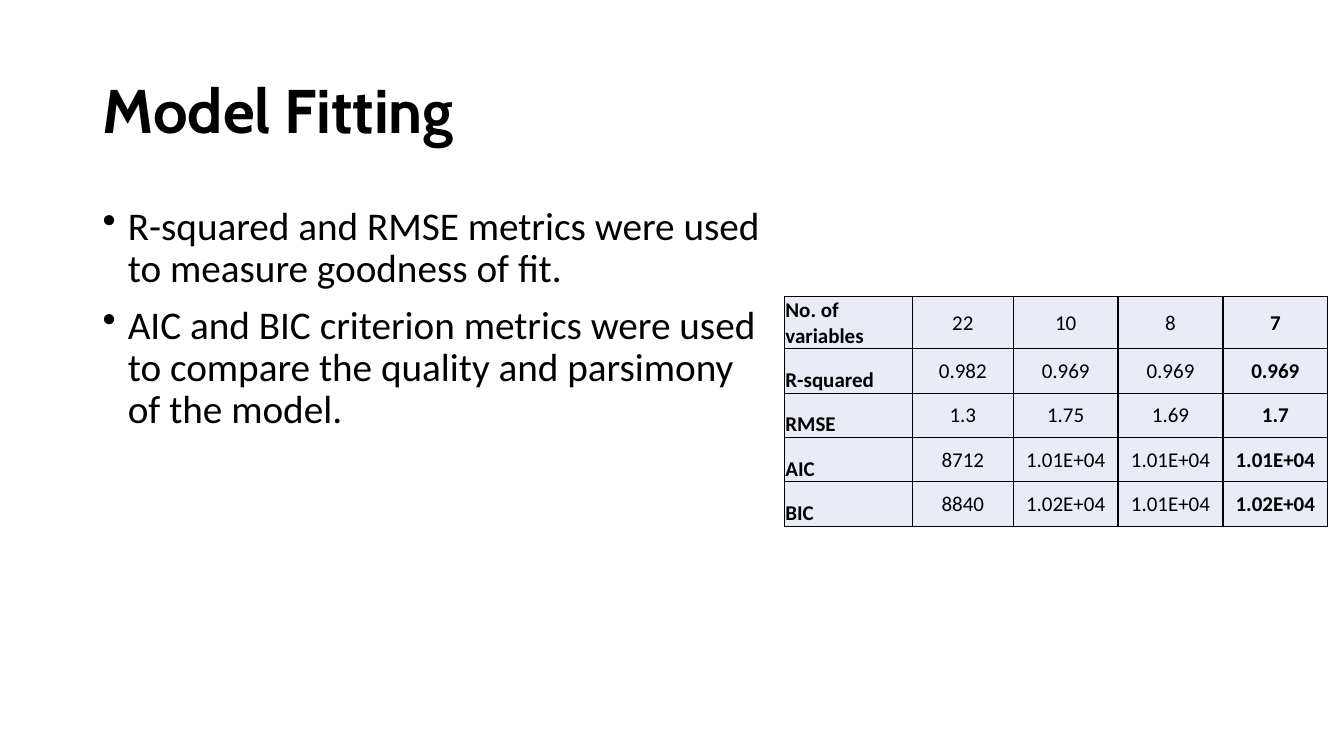
from lxml import etree
from pptx import Presentation
from pptx.dml.color import RGBColor
from pptx.enum.text import MSO_ANCHOR, PP_ALIGN
from pptx.oxml.ns import qn
from pptx.util import Inches, Pt

BLACK = RGBColor(0, 0, 0)
PALE = RGBColor(0xE9, 0xEB, 0xF5)

POINTS = [
    "R-squared and RMSE metrics were used to measure goodness of fit.",
    "AIC and BIC criterion metrics were used to compare the quality and parsimony of the model.",
]
ROWS = [
    ["No. of variables", "22", "10", "8", "7"],
    ["R-squared", "0.982", "0.969", "0.969", "0.969"],
    ["RMSE", "1.3", "1.75", "1.69", "1.7"],
    ["AIC", "8712", "1.01E+04", "1.01E+04", "1.01E+04"],
    ["BIC", "8840", "1.02E+04", "1.01E+04", "1.02E+04"],
]
WIDTHS = [1.27, 1, 1.04, 1.04, 1.04]
HEIGHT = 0.44


def style(para, size, name, bold=False):
    font = para.font
    font.size, font.name, font.bold = Pt(size), name, bold
    font.color.rgb = BLACK


def border(cell):
    """Draw a 1 pt black line on all four sides, ahead of the cell's fill."""
    props = cell._tc.get_or_add_tcPr()
    for i, side in enumerate(["a:lnL", "a:lnR", "a:lnT", "a:lnB"]):
        line = etree.Element(qn(side), w=str(Pt(1)))
        fill = etree.SubElement(line, qn("a:solidFill"))
        etree.SubElement(fill, qn("a:srgbClr"), val=str(BLACK))
        props.insert(i, line)


deck = Presentation()
deck.slide_width, deck.slide_height = Inches(13.33), Inches(7.5)
slide = deck.slides.add_slide(deck.slide_layouts[5])

title = slide.shapes.title
title.left, title.top = Inches(0.92), Inches(0.4)
title.width, title.height = Inches(11.5), Inches(1.45)
title.text_frame.text = "Model Fitting"
title.text_frame.vertical_anchor = MSO_ANCHOR.MIDDLE
head = title.text_frame.paragraphs[0]
head.alignment = PP_ALIGN.LEFT
head.line_spacing = 0.9
style(head, 44, "Cabin", True)

grid = slide.shapes.add_table(
    len(ROWS), len(WIDTHS), Inches(7.78), Inches(2.94),
    Inches(sum(WIDTHS)), Inches(HEIGHT * len(ROWS))).table
for col, width in zip(grid.columns, WIDTHS):
    col.width = Inches(width)
for r, row in enumerate(ROWS):
    grid.rows[r].height = Inches(HEIGHT)
    for c, value in enumerate(row):
        cell = grid.cell(r, c)
        cell.text = value
        cell.margin_left = cell.margin_right = cell.margin_top = Inches(0.01)
        cell.margin_bottom = 0
        cell.vertical_anchor = MSO_ANCHOR.MIDDLE if c else MSO_ANCHOR.BOTTOM
        cell.fill.solid()
        cell.fill.fore_color.rgb = PALE
        border(cell)
        para = cell.text_frame.paragraphs[0]
        para.alignment = PP_ALIGN.CENTER if c else PP_ALIGN.LEFT
        style(para, 15, "Calibri", c in (0, len(WIDTHS) - 1))

body = slide.shapes.add_textbox(
    Inches(0.92), Inches(2), Inches(6.83), Inches(4.76)).text_frame
body.word_wrap = True
body.text = "\n".join(POINTS)
for para in body.paragraphs:
    para.line_spacing = 0.9
    para.space_before = Pt(10)
    style(para, 28, "Calibri")
    props = para._p.get_or_add_pPr()
    props.set("marL", str(Inches(0.25)))
    props.set("indent", str(Inches(-0.25)))
    mark = etree.Element(qn("a:buChar"), char="•")
    props.find(qn("a:defRPr")).addprevious(mark)

deck.save("out.pptx")
